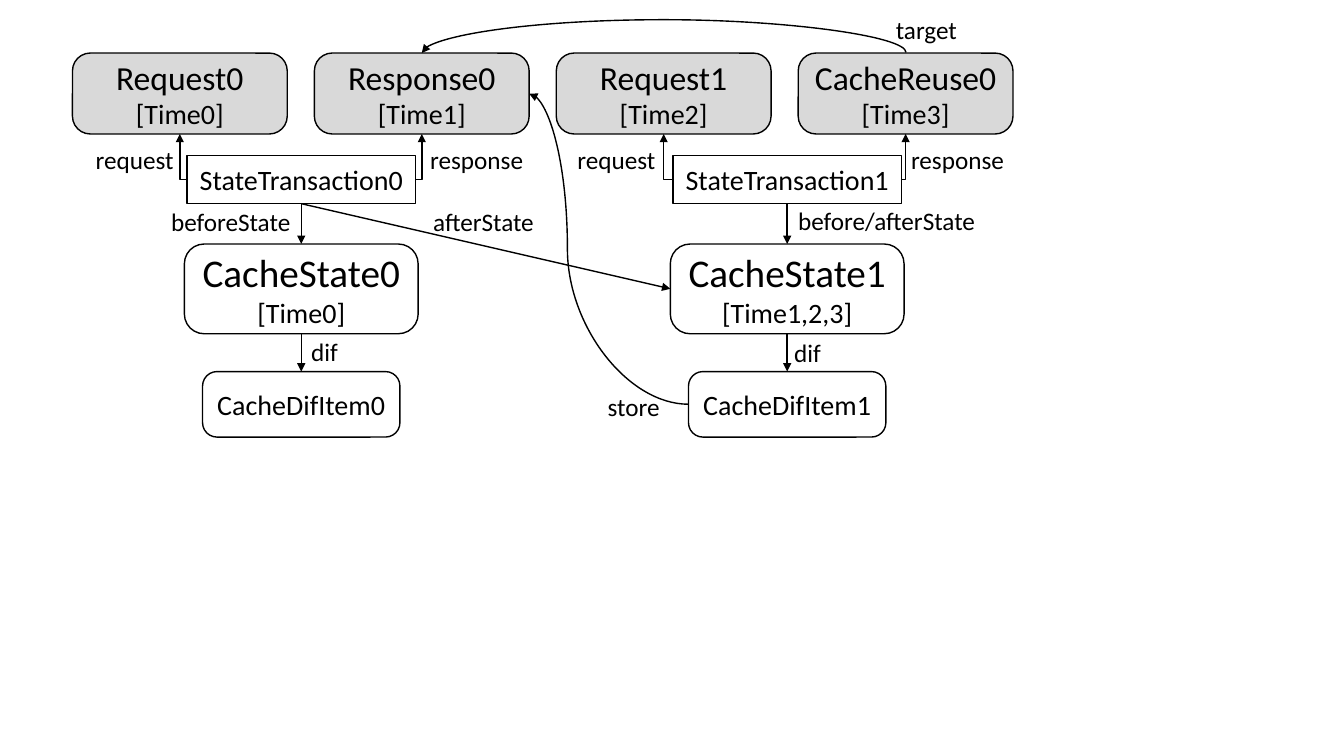
import pptx
import pptx.dml.color
import pptx.enum.shapes
import pptx.enum.text
import pptx.oxml
import pptx.oxml.ns
import pptx.util

Pt = pptx.util.Pt
SHAPE = pptx.enum.shapes.MSO_SHAPE
LINK = pptx.enum.shapes.MSO_CONNECTOR
TEXT = pptx.enum.text
EVENT_W, EVENT_H, EVENT_PITCH = 153.4, 57.8, 172.8


def color(value):
    """Return an RGB colour from a hex string."""
    return pptx.dml.color.RGBColor.from_string(value)


def add_run(p, text, size):
    """Add one black Calibri run to a paragraph."""
    r = p.add_run()
    r.text = text
    r.font.name = "Calibri"
    r.font.size = Pt(size)
    r.font.color.rgb = color("000000")


def node(s, kind, box, lines, fill=None):
    """Draw an outlined box with centred lines of (text, size)."""
    sp = s.shapes.add_shape(kind, *map(Pt, box))
    sp.shadow.inherit = False
    if kind == SHAPE.ROUNDED_RECTANGLE:
        sp.adjustments[0] = 0.22
    if fill:
        sp.fill.solid()
        sp.fill.fore_color.rgb = color(fill)
    else:
        sp.fill.background()
    sp.line.color.rgb = color("000000")
    sp.line.width = Pt(1)
    tf = sp.text_frame
    tf.word_wrap = True
    tf.vertical_anchor = TEXT.MSO_ANCHOR.MIDDLE
    tf.margin_left = tf.margin_right = 0
    for i, (text, size) in enumerate(lines):
        p = tf.add_paragraph() if i else tf.paragraphs[0]
        p.alignment = TEXT.PP_ALIGN.CENTER
        add_run(p, text, size)


def label(s, x, y, w, text):
    """Place an arrow label."""
    sp = s.shapes.add_textbox(Pt(x), Pt(y), Pt(w), Pt(29))
    tf = sp.text_frame
    tf.word_wrap = False
    tf.auto_size = TEXT.MSO_AUTO_SIZE.SHAPE_TO_FIT_TEXT
    add_run(tf.paragraphs[0], text, 18)


def arrow(s, start, end, kind=LINK.STRAIGHT, preset=None, bend=None):
    """Draw an arrow, optionally with another preset and bend, and return it."""
    c = s.shapes.add_connector(kind, *map(Pt, (*start, *end)))
    c.line.color.rgb = color("000000")
    c.line.width = Pt(1)
    qn = pptx.oxml.ns.qn
    ns = pptx.oxml.ns.nsdecls("a")
    spPr = c._element.spPr
    geom = spPr.find(qn("a:prstGeom"))
    if preset:
        geom.set("prst", preset)
    if bend is not None:
        guide = f'<a:gd {ns} name="adj1" fmla="val {round(bend * 100000)}"/>'
        geom.find(qn("a:avLst")).append(pptx.oxml.parse_xml(guide))
    ln = spPr.find(qn("a:ln"))
    ln.append(pptx.oxml.parse_xml(f'<a:tailEnd {ns} type="triangle"/>'))
    spPr.append(pptx.oxml.parse_xml(f"<a:effectLst {ns}/>"))
    return c


def arch(s, start, end, rise):
    """Draw a curved arrow that leaves upward and lands from above."""
    cx, cy = (start[0] + end[0]) / 2, (start[1] + end[1]) / 2
    half_w, half_h = (end[1] - start[1]) / 2, (start[0] - end[0]) / 2
    c = arrow(s, (cx + half_w, cy + half_h), (cx - half_w, cy - half_h),
              LINK.CURVE, bend=-rise / (2 * half_w))
    c._element.spPr.xfrm.set("rot", "16200000")


def transaction(s, x, y, cx, n, events, times, labels):
    """Draw two events above a stack of transaction, state and item."""
    for i, (name, time) in enumerate(events):
        left = x + i * EVENT_PITCH
        node(s, SHAPE.ROUNDED_RECTANGLE, (left, y, EVENT_W, EVENT_H),
             [(name, 24), (time, 20)], "D9D9D9")
        edge = cx + (2 * i - 1) * 81.7
        arrow(s, (edge, y + 90.4), (left + EVENT_W / 2, y + EVENT_H),
              LINK.ELBOW, "bentConnector2")
    stack = [
        (SHAPE.RECTANGLE, 73, 163.4, 34.6, [(f"StateTransaction{n}", 20)]),
        (SHAPE.ROUNDED_RECTANGLE, 136.4, 167, 64.1,
         [(f"CacheState{n}", 28), (times, 20)]),
        (SHAPE.ROUNDED_RECTANGLE, 227.5, 141, 46.8, [(f"CacheDifItem{n}", 20)]),
    ]
    for kind, top, w, h, lines in stack:
        node(s, kind, (cx - w / 2, y + top, w, h), lines)
    for upper, lower in zip(stack, stack[1:]):
        arrow(s, (cx, y + upper[1] + upper[3]), (cx, y + lower[1]))
    for dx, dy, w, text in labels:
        label(s, x + dx, y + dy, w, text)


def cross_links(s, x, y):
    """Draw the arrows and labels that join the two transactions."""
    arrow(s, (x + 163.4, y + 107.6), (x + 427, y + 168.4))
    label(s, x + 250.5, y + 106.2, 87.8, "afterState")
    arrow(s, (x + 440, y + 250.9), (x + 326.2, y + 29), LINK.CURVE, bend=0.76)
    label(s, x + 375.1, y + 238, 51.8, "store")
    arch(s, (x + 595.4, y - 0.4), (x + 249.5, y), 23.6)
    label(s, x + 581, y - 31.3, 58.3, "target")


prs = pptx.Presentation()
prs.slide_width, prs.slide_height = Pt(960), Pt(540)
s = prs.slides.add_slide(prs.slide_layouts[6])
X, Y = 51.8, 37.9
transaction(s, X, Y, 215.2, 0,
            [("Request0", "[Time0]"), ("Response0", "[Time1]")], "[Time0]",
            [(9.4, 61.5, 70.6, "request"), (248.4, 61.5, 81.4, "response"),
             (63.4, 106.2, 100.8, "beforeState"), (163.4, 199, 33.8, "dif")])
transaction(s, X + 2 * EVENT_PITCH, Y, 562.3, 1,
            [("Request1", "[Time2]"), ("CacheReuse0", "[Time3]")], "[Time1,2,3]",
            [(8, 61.5, 70.6, "request"), (246.3, 61.5, 81.4, "response"),
             (165.6, 105.4, 142.6, "before/afterState"), (162.8, 199.6, 33.8, "dif")])
cross_links(s, X, Y)
prs.save("out.pptx")
